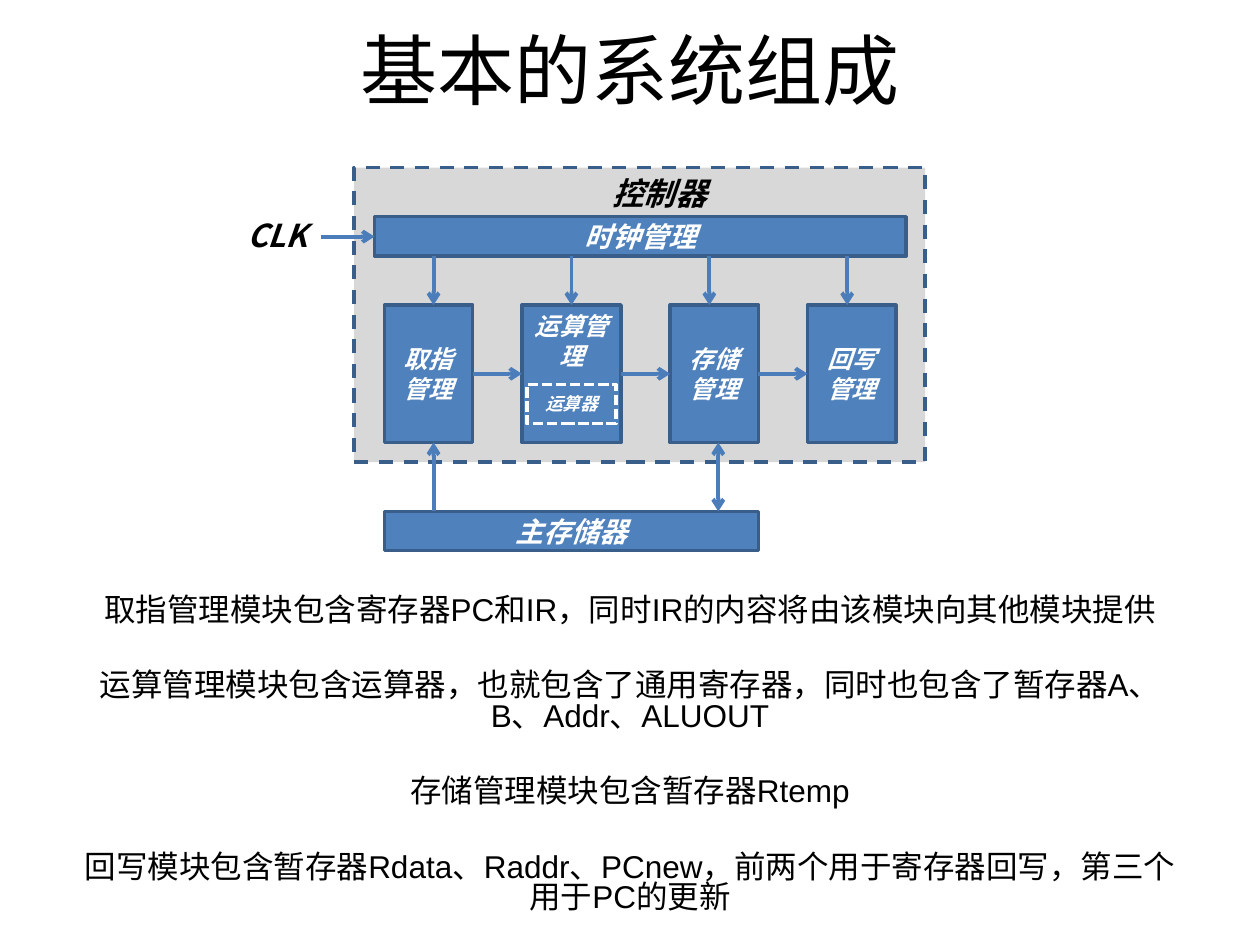
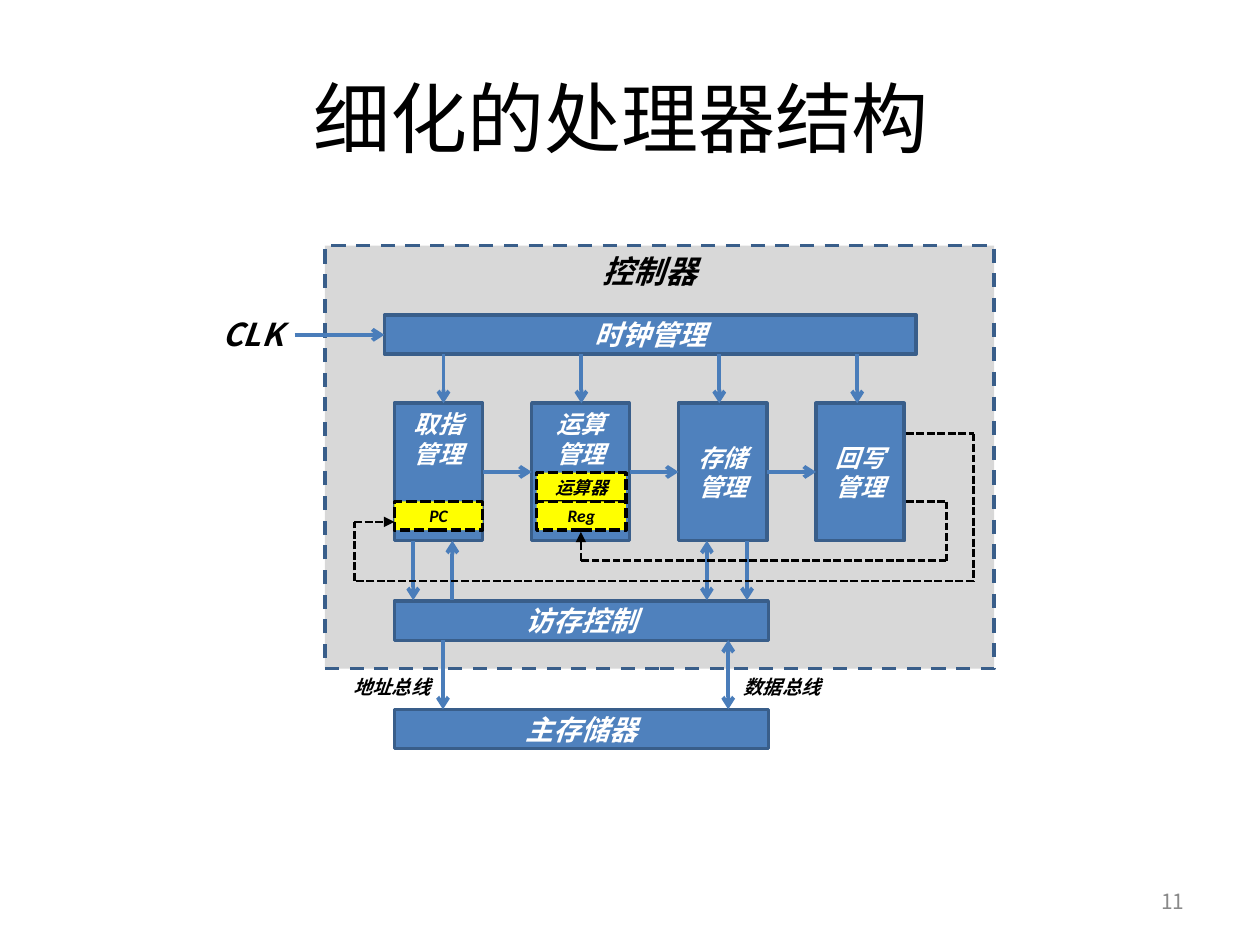
from itertools import accumulate

from lxml import etree
from pptx import Presentation
from pptx.dml.color import RGBColor
from pptx.enum import dml, shapes, text
from pptx.oxml.ns import qn
from pptx.util import Cm, Pt

BLUE = RGBColor(0x4F, 0x81, 0xBD)
NAVY = RGBColor(0x39, 0x5E, 0x8A)
STEEL = RGBColor(0x4A, 0x7D, 0xBA)
GREY = RGBColor(0xD8, 0xD8, 0xD8)
MUTED = RGBColor(0x89, 0x89, 0x89)
YELLOW = RGBColor(0xFF, 0xFF, 0x00)
WHITE = RGBColor(0xFF, 0xFF, 0xFF)
BLACK = RGBColor(0, 0, 0)

HAN = "Noto Sans CJK SC"
DASH = dml.MSO_LINE.DASH
SHORT = dml.MSO_LINE.SQUARE_DOT
CENTER, RIGHT = text.PP_ALIGN.CENTER, text.PP_ALIGN.RIGHT
TOP, MIDDLE = text.MSO_ANCHOR.TOP, text.MSO_ANCHOR.MIDDLE

STAGES = ["取指管理", "运算管理", "存储管理", "回写管理"]
GAP, THICK, TALL, PITCH = 0.99, 0.79, 2.77, 2.78
DROP = THICK + GAP
BAND = 7.54

NOTES = [
    "取指管理模块包含寄存器PC和IR，同时IR的内容将由该模块向其他模块提供",
    "运算管理模块包含运算器，也就包含了通用寄存器，同时也包含了暂存器A、B、Addr、ALUOUT",
    "存储管理模块包含暂存器Rtemp",
    "回写模块包含暂存器Rdata、Raddr、PCnew，前两个用于寄存器回写，第三个用于PC的更新",
]

BASIC = dict(
    title="基本的系统组成", head=-0.2,
    x=7.75, y=4.37, widths=[1.78, 2, 1.78, 1.78], high=[1],
    frame=(7.14, 3.38, 11.51, 5.94),
    name=(11.91, 3.38), clk=4.67, wire=6.48,
    bands=[("主存储器", 10.31)],
    chips=[("运算器", (10.62, 7.75, 1.8, 0.79), BLUE, WHITE)],
    arrows=[(8.74, 10.31, 8.74, 8.92, False),
            (14.48, 10.31, 14.48, 8.92, True)],
    routes=[], buses=[],
)

DETAIL = dict(
    title="细化的处理器结构 ", head=0.76,
    x=7.95, y=6.35, widths=[1.78, 1.97, 1.78, 1.78], high=[0, 1],
    frame=(6.55, 4.95, 13.49, 8.53),
    name=(11.71, 4.95), clk=4.17, wire=5.94,
    bands=[("访存控制", 12.12), ("主存储器", 14.3)],
    chips=[("运算器", (10.82, 9.53, 1.8, 0.58), YELLOW, BLACK),
           ("Reg", (10.82, 10.11, 1.8, 0.58), YELLOW, BLACK),
           ("PC", (7.95, 10.11, 1.78, 0.58), YELLOW, BLACK)],
    arrows=[(8.33, 10.9, 8.33, 12.1, False),
            (9.12, 12.1, 9.12, 10.9, False),
            (14.25, 12.1, 14.25, 10.9, True),
            (15.06, 10.9, 15.06, 12.1, False),
            (8.93, 12.9, 8.93, 14.3, False),
            (14.68, 14.3, 14.68, 12.9, True)],
    routes=[[(18.26, 8.74), (19.63, 8.74), (19.63, 11.71),
             (7.14, 11.71), (7.14, 10.52), (7.95, 10.52)],
            [(18.26, 10.11), (19.08, 10.11), (19.08, 11.3),
             (11.71, 11.3), (11.71, 10.72)]],
    buses=[("数据总线", 14.68, CENTER), ("地址总线", 6.75, RIGHT)],
)


def write(frame, *lines, size=18, font=HAN, color=BLACK, bold=False,
          align=CENTER, anchor=TOP, wrap=True, space=None, before=0):
    frame.word_wrap = wrap
    frame.vertical_anchor = anchor
    for i, line in enumerate(lines):
        par = frame.paragraphs[0] if i == 0 else frame.add_paragraph()
        par.alignment = align
        par.line_spacing = space
        par.space_before = Pt(before if i else min(before, 4.5))
        run = par.add_run()
        run.text = line
        face = run.font
        face.size, face.name = Pt(size), font
        face.bold = face.italic = bold
        face.color.rgb = color
        east = etree.Element(qn("a:ea"), typeface=HAN)
        face._element.find(qn("a:latin")).addnext(east)


def label(slide, box, *lines, **kw):
    shape = slide.shapes.add_textbox(*map(Cm, box))
    write(shape.text_frame, *lines, **kw)


def block(slide, box, words="", fill=BLUE, edge=NAVY, dash=None, **kw):
    shape = slide.shapes.add_shape(shapes.MSO_SHAPE.RECTANGLE, *map(Cm, box))
    shape.shadow.inherit = False
    shape.fill.solid()
    shape.fill.fore_color.rgb = fill
    shape.line.color.rgb = edge
    shape.line.width = Pt(2)
    if dash:
        shape.line.dash_style = dash
    if words:
        style = dict(font="Calibri", color=WHITE, bold=True, anchor=MIDDLE)
        write(shape.text_frame, words, **{**style, **kw})


def link(slide, ends, color=STEEL, width=2.25, dash=None, tip="arrow", both=False):
    line = slide.shapes.add_connector(shapes.MSO_CONNECTOR.STRAIGHT, *map(Cm, ends))
    line.line.color.rgb = color
    line.line.width = Pt(width)
    if dash:
        line.line.dash_style = dash
    pen = line.line._get_or_add_ln()
    if both:
        etree.SubElement(pen, qn("a:headEnd"), type=tip)
    if tip:
        etree.SubElement(pen, qn("a:tailEnd"), type=tip)
    etree.SubElement(line._element.spPr, qn("a:effectLst"))


def draw(deck, plan):
    slide = deck.slides.add_slide(deck.slide_layouts[5])
    title = slide.shapes.title
    title.left, title.top, title.width, title.height = map(
        Cm, (1.27, plan["head"], 22.86, 3.18))
    write(title.text_frame, plan["title"], size=44, font="Arial", anchor=MIDDLE)

    x, y, widths = plan["x"], plan["y"], plan["widths"]
    top = y + DROP
    block(slide, plan["frame"], fill=GREY, dash=DASH)
    block(slide, (x - 0.2, y, 10.72, THICK), "时钟管理", size=16)
    lefts = list(accumulate((w + GAP for w in widths[:-1]), initial=x))
    for i, (stage, left, wide) in enumerate(zip(STAGES, lefts, widths)):
        block(slide, (left, top, wide, TALL), stage, size=14,
              anchor=TOP if i in plan["high"] else MIDDLE)
        beat = x + GAP + i * PITCH
        link(slide, (beat, y + THICK, beat, top))
        if i:
            mid = top + TALL / 2
            link(slide, (left - GAP, mid, left, mid))
    for words, level in plan["bands"]:
        block(slide, (x, level, BAND, THICK), words, size=16)
    for words, box, fill, ink in plan["chips"]:
        block(slide, box, words, fill, ink, SHORT, size=10, color=ink)

    for *ends, both in plan["arrows"]:
        link(slide, ends, both=both)
    for route in plan["routes"]:
        for a, b in zip(route, route[1:]):
            link(slide, a + b, BLACK, 1.5, SHORT,
                 "triangle" if b == route[-1] else None)

    label(slide, (plan["clk"], y - 0.13, 1.78, 1.02), "CLK",
          bold=True, align=RIGHT, wrap=False)
    link(slide, (plan["wire"], y + 0.4, x - 0.2, y + 0.4))
    label(slide, (*plan["name"], 2.77, 1.02), "控制器", bold=True, wrap=False)
    for words, left, align in plan["buses"]:
        label(slide, (left, 13.49, 2.18, 0.74), words, size=11, bold=True,
              align=align, wrap=False)
    return slide


def main():
    deck = Presentation()
    deck.slide_width, deck.slide_height = Cm(25.4), Cm(19.05)
    basic = draw(deck, BASIC)
    label(basic, (1.27, 11.91, 22.86, 6.76), *NOTES,
          font="Arial", space=0.8, before=26)
    detail = draw(deck, DETAIL)
    label(detail, (18.21, 17.65, 5.92, 1.02), "11", size=12, color=MUTED,
          align=RIGHT, anchor=MIDDLE)
    deck.save("out.pptx")


if __name__ == "__main__":
    main()
